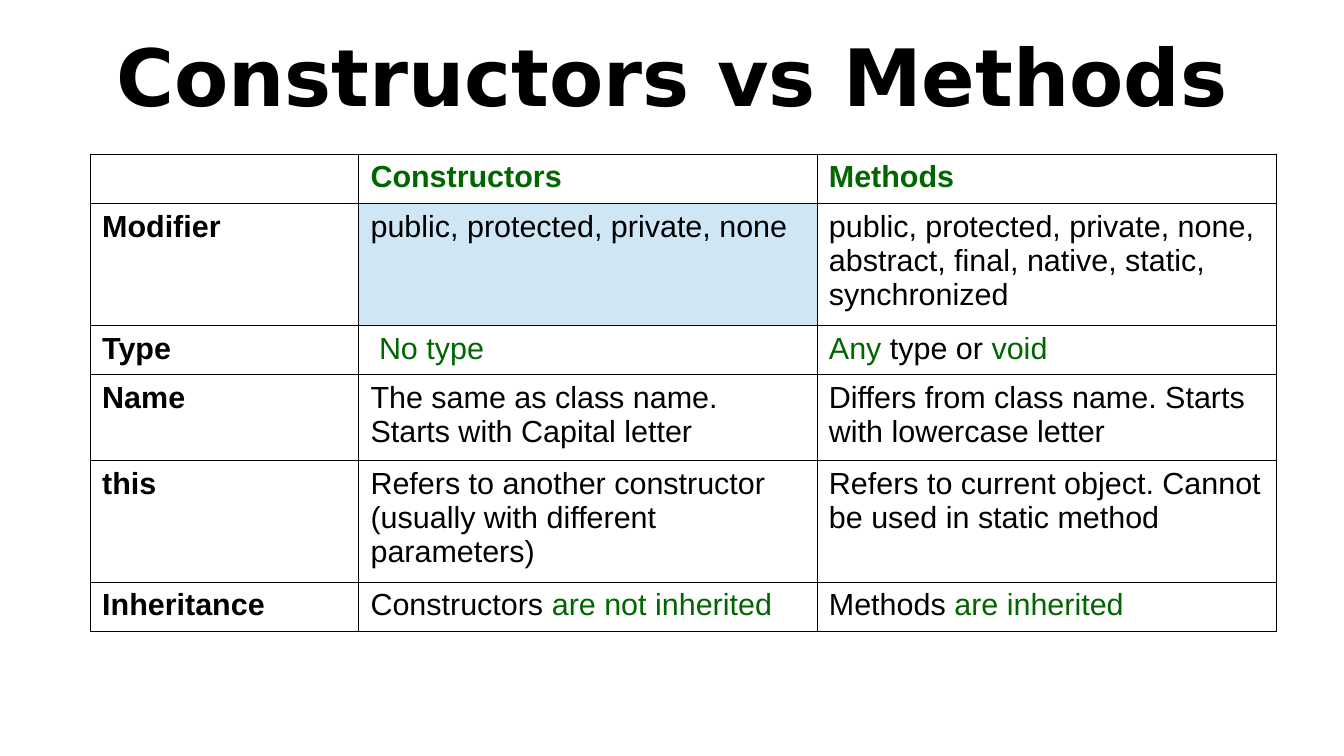
from lxml import etree
from pptx import Presentation
from pptx.dml.color import RGBColor
from pptx.enum import text
from pptx.oxml import ns
from pptx.util import Cm, Pt

BLACK, GREEN, BLUE = "000000", "006600", "CFE7F5"
COL_WIDTHS = [5.59, 9.55, 9.58]
ROW_HEIGHTS = [1.02, 2.54, 1.02, 1.78, 2.54, 1.02]
ROWS = [
    ["", "*Constructors*", "*Methods*"],
    ["Modifier", "public, protected, private, none",
     "public, protected, private, none,\nabstract, final, native, static, synchronized"],
    ["Type", " *No type*", "*Any* type or *void*"],
    ["Name", "The same as class name. Starts with Capital letter",
     "Differs from class name. Starts with lowercase letter"],
    ["this", "Refers to another constructor (usually with different parameters)",
     "Refers to current object. Cannot be used in static method"],
    ["Inheritance", "Constructors *are not inherited*", "Methods *are inherited*"],
]


def color(value):
    return RGBColor.from_string(value)


def format_run(r, font, size, bold, value):
    r.font.name = font
    r.font.size = Pt(size)
    r.font.bold = bold
    r.font.color.rgb = color(value)


def add_title(s, title):
    sp = s.shapes.title
    sp.left, sp.top, sp.width, sp.height = Cm(1.4), Cm(0.1), Cm(25.2), Cm(2.9)
    tf = sp.text_frame
    tf.text = title
    tf.word_wrap = True
    tf.auto_size = text.MSO_AUTO_SIZE.NONE
    tf.vertical_anchor = text.MSO_ANCHOR.MIDDLE
    tf.margin_left = tf.margin_right = tf.margin_top = tf.margin_bottom = 0
    p = tf.paragraphs[0]
    p.alignment = text.PP_ALIGN.CENTER
    format_run(p.runs[0], "DejaVu Sans", 46.7, True, BLACK)


def add_borders(cell):
    tcPr = cell._tc.get_or_add_tcPr()
    for side in ("a:lnL", "a:lnR", "a:lnT", "a:lnB"):
        ln = etree.SubElement(tcPr, ns.qn(side), w=str(Pt(0.57)))
        fill = etree.SubElement(ln, ns.qn("a:solidFill"))
        etree.SubElement(fill, ns.qn("a:srgbClr"), val=BLACK)


def fill_cell(cell, content, bold, fill):
    cell.margin_left = cell.margin_right = Cm(0.25)
    cell.margin_top = cell.margin_bottom = Cm(0.13)
    add_borders(cell)
    if fill:
        cell.fill.solid()
        cell.fill.fore_color.rgb = color(fill)
    else:
        cell.fill.background()
    tf = cell.text_frame
    for i, line in enumerate(content.split("\n")):
        p = tf.add_paragraph() if i else tf.paragraphs[0]
        for j, part in enumerate(line.split("*")):
            if part:
                r = p.add_run()
                r.text = part
                format_run(r, "Arial", 18, bold, GREEN if j % 2 else BLACK)


def add_comparison(s):
    frame = s.shapes.add_table(len(ROWS), len(COL_WIDTHS), Cm(1.88), Cm(3.21),
                               Cm(sum(COL_WIDTHS)), Cm(sum(ROW_HEIGHTS)))
    table = frame.table
    table.first_row = table.horz_banding = False
    for column, width in zip(table.columns, COL_WIDTHS):
        column.width = Cm(width)
    for row, height in zip(table.rows, ROW_HEIGHTS):
        row.height = Cm(height)
    for i, contents in enumerate(ROWS):
        for j, content in enumerate(contents):
            fill_cell(table.cell(i, j), content, i == 0 or j == 0,
                      BLUE if (i, j) == (1, 1) else None)


def main():
    prs = Presentation()
    prs.slide_width, prs.slide_height = Cm(28), Cm(15.75)
    s = prs.slides.add_slide(prs.slide_layouts[5])
    add_title(s, "Constructors vs Methods")
    add_comparison(s)
    prs.save("out.pptx")


if __name__ == "__main__":
    main()
